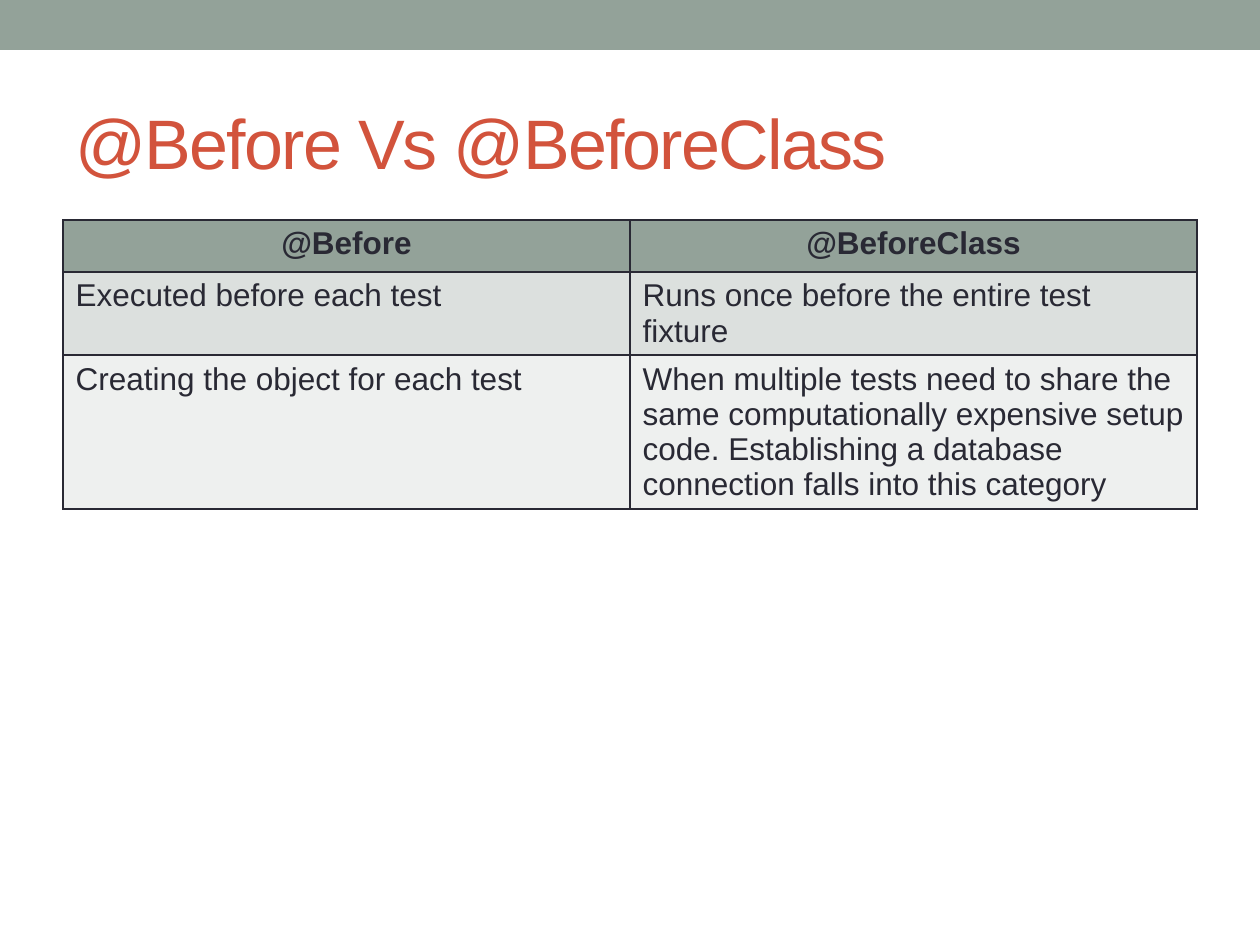
import dataclasses
import typing

import lxml.etree
import pptx
import pptx.dml.color
import pptx.enum.shapes
import pptx.enum.text
import pptx.oxml
import pptx.oxml.ns
import pptx.util

RGBColor = pptx.dml.color.RGBColor
SAGE = RGBColor(0x93, 0xA2, 0x99)
PALE_SAGE = RGBColor(0xDC, 0xE0, 0xDE)
MIST = RGBColor(0xEE, 0xF0, 0xEF)
INK = RGBColor(0x29, 0x29, 0x34)
RUST = RGBColor(0xD2, 0x53, 0x3C)

PX_PER_INCH = 126
SLIDE_WIDTH, SLIDE_HEIGHT = 1260, 945
MARGIN = 63
CONTENT_WIDTH = SLIDE_WIDTH - 2 * MARGIN
BAND_HEIGHT = 50
TITLE_TOP, TITLE_HEIGHT = 73, 136
TABLE_TOP, TABLE_HEIGHT = 220, 304
MIN_ROW_HEIGHT = 52
BORDER_WIDTH = pptx.util.Pt(1)

TITLE_FONT = {"name": "Arial", "size": pptx.util.Pt(40), "bold": False}
CELL_FONT = {"name": "Arial", "size": pptx.util.Pt(18)}


@dataclasses.dataclass(frozen=True)
class ComparisonRow:
    before: str
    before_class: str
    fill: RGBColor
    is_header: bool = False


COMPARISON = [
    ComparisonRow("@Before", "@BeforeClass", SAGE, is_header=True),
    ComparisonRow("Executed before each test",
                  "Runs once before the entire test fixture", PALE_SAGE),
    ComparisonRow("Creating the object for each test",
                  "When multiple tests need to share the same computationally "
                  "expensive setup code. Establishing a database connection "
                  "falls into this category", MIST),
]


def px(length: int) -> pptx.util.Emu:
    return pptx.util.Emu(length * pptx.util.Inches(1) // PX_PER_INCH)


def format_font(font: typing.Any, values: dict[str, typing.Any], color: RGBColor) -> None:
    for attribute, value in values.items():
        setattr(font, attribute, value)
    font.color.rgb = color


def draw_band(slide: typing.Any) -> None:
    band = slide.shapes.add_shape(
        pptx.enum.shapes.MSO_SHAPE.RECTANGLE, 0, 0, px(SLIDE_WIDTH), px(BAND_HEIGHT))
    band.shadow.inherit = False
    band.fill.solid()
    band.fill.fore_color.rgb = SAGE
    band.line.fill.background()


def write_title(slide: typing.Any, heading: str) -> None:
    title = slide.shapes.title
    box = {"left": px(MARGIN), "top": px(TITLE_TOP),
           "width": px(CONTENT_WIDTH), "height": px(TITLE_HEIGHT)}
    for attribute, value in box.items():
        setattr(title, attribute, value)
    title.text_frame.text = heading
    title.text_frame.auto_size = pptx.enum.text.MSO_AUTO_SIZE.NONE
    title.text_frame.vertical_anchor = pptx.enum.text.MSO_ANCHOR.MIDDLE
    paragraph = title.text_frame.paragraphs[0]
    paragraph.alignment = pptx.enum.text.PP_ALIGN.LEFT
    run = paragraph.runs[0]
    format_font(run.font, TITLE_FONT, RUST)
    run.font._element.set("spc", "-100")  # tightens letters by 1 pt


def add_borders(cell: typing.Any) -> None:
    """Outline a cell; the edges must precede its fill in the XML."""
    properties = cell._tc.get_or_add_tcPr()
    for position, edge in enumerate(("a:lnL", "a:lnR", "a:lnT", "a:lnB")):
        line = lxml.etree.Element(pptx.oxml.ns.qn(edge), w=str(BORDER_WIDTH))
        fill = lxml.etree.SubElement(line, pptx.oxml.ns.qn("a:solidFill"))
        lxml.etree.SubElement(fill, pptx.oxml.ns.qn("a:srgbClr"), val=str(INK))
        properties.insert(position, line)


def write_cell(cell: typing.Any, wording: str, row: ComparisonRow) -> None:
    cell.text = wording
    cell.fill.solid()
    cell.fill.fore_color.rgb = row.fill
    add_borders(cell)
    paragraph = cell.text_frame.paragraphs[0]
    align = pptx.enum.text.PP_ALIGN
    paragraph.alignment = align.CENTER if row.is_header else align.LEFT
    format_font(paragraph.runs[0].font, CELL_FONT | {"bold": row.is_header}, INK)


def draw_comparison(slide: typing.Any, rows: list[ComparisonRow]) -> None:
    frame = slide.shapes.add_table(
        len(rows), 2, px(MARGIN), px(TABLE_TOP), px(CONTENT_WIDTH), px(TABLE_HEIGHT))
    for table_row, row in zip(frame.table.rows, rows):
        table_row.height = px(MIN_ROW_HEIGHT)
        for cell, wording in zip(table_row.cells, (row.before, row.before_class)):
            write_cell(cell, wording, row)
    frame.height = px(TABLE_HEIGHT)  # rows grow with their text


def main() -> None:
    presentation = pptx.Presentation()
    presentation.slide_width = px(SLIDE_WIDTH)
    presentation.slide_height = px(SLIDE_HEIGHT)
    title_only = presentation.slide_layouts.get_by_name("Title Only")
    slide = presentation.slides.add_slide(title_only)
    draw_band(slide)
    write_title(slide, "@Before Vs @BeforeClass")
    draw_comparison(slide, COMPARISON)
    presentation.save("out.pptx")


if __name__ == "__main__":
    main()
